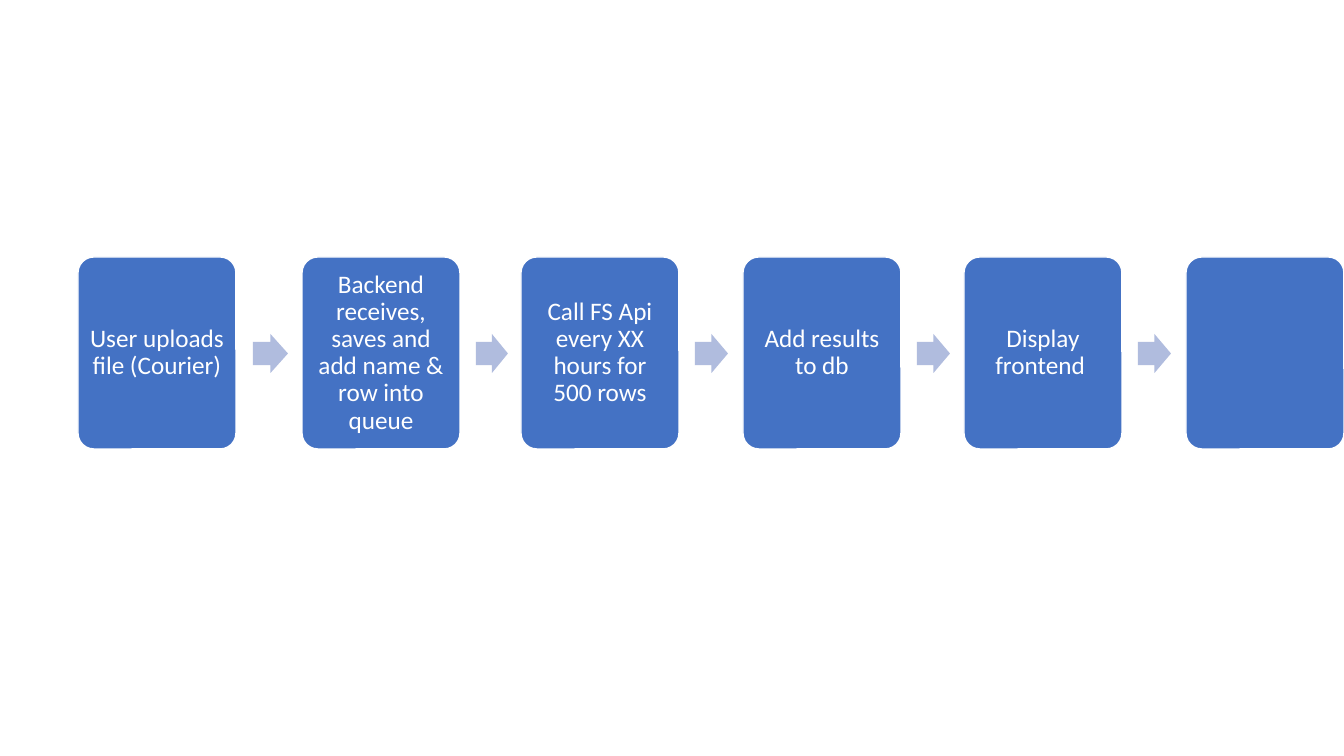
"""Build a slide with a left-to-right process of six boxes joined by arrows."""
from pptx import Presentation
from pptx.dml.color import RGBColor
from pptx.enum.shapes import MSO_SHAPE
from pptx.enum.text import MSO_ANCHOR, PP_ALIGN
from pptx.util import Emu, Pt

BLUE = RGBColor(0x44, 0x72, 0xC4)
PALE_BLUE = RGBColor(0xB0, 0xBC, 0xDE)
WHITE = RGBColor(0xFF, 0xFF, 0xFF)

BOX_TOP, BOX_WIDTH, BOX_HEIGHT = 257, 158, 192
ARROW_TOP, ARROW_HEIGHT = 334, 39
TEXT_INSET = 7

STEPS = [
    (78, "User uploads file (Courier)"),
    (302, "Backend receives, saves and add name & row into queue"),
    (521, "Call FS Api every XX hours for 500 rows"),
    (743, "Add results to db"),
    (964, "Display frontend "),
    (1186, ""),
]
ARROWS = [(253, 35), (476, 32), (695, 33), (917, 33), (1138, 33)]


def px(pixels):
    return Emu(round(pixels * 914400 / 100.8))


def add_filled_shape(kind, left, top, width, height, color):
    shape = slide.shapes.add_shape(kind, px(left), px(top), px(width), px(height))
    shape.shadow.inherit = False
    shape.fill.solid()
    shape.fill.fore_color.rgb = color
    return shape


presentation = Presentation()
presentation.slide_width = px(1344)
presentation.slide_height = px(756)
slide = presentation.slides.add_slide(presentation.slide_layouts[6])

for left, label in STEPS:
    box = add_filled_shape(MSO_SHAPE.ROUNDED_RECTANGLE, left, BOX_TOP, BOX_WIDTH, BOX_HEIGHT, BLUE)
    box.adjustments[0] = 0.1
    box.line.color.rgb = WHITE
    box.line.width = Pt(1)
    if not label:
        continue
    frame = box.text_frame
    frame.word_wrap = True
    frame.vertical_anchor = MSO_ANCHOR.MIDDLE
    frame.margin_left = frame.margin_right = px(TEXT_INSET)
    frame.margin_top = frame.margin_bottom = px(TEXT_INSET)
    paragraph = frame.paragraphs[0]
    paragraph.alignment = PP_ALIGN.CENTER
    paragraph.line_spacing = 0.9
    run = paragraph.add_run()
    run.text = label
    run.font.name = "Calibri"
    run.font.size = Pt(18)
    run.font.color.rgb = WHITE

for left, width in ARROWS:
    arrow = add_filled_shape(MSO_SHAPE.RIGHT_ARROW, left, ARROW_TOP, width, ARROW_HEIGHT, PALE_BLUE)
    arrow.adjustments[0] = 0.6
    arrow.adjustments[1] = 0.5
    arrow.line.fill.background()

presentation.save("out.pptx")
